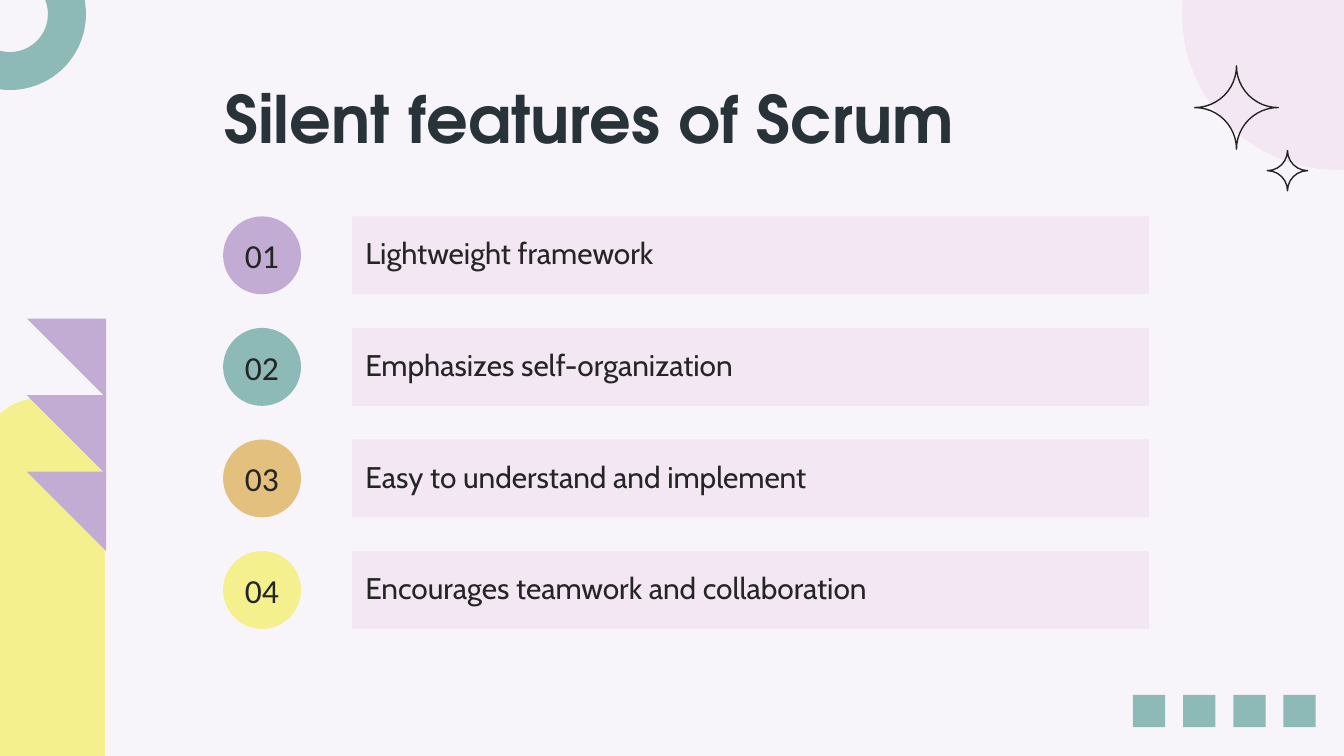
from pptx import Presentation
from pptx.dml.color import RGBColor
from pptx.enum.shapes import MSO_SHAPE
from pptx.enum.text import MSO_ANCHOR, PP_ALIGN
from pptx.util import Inches, Pt

OVAL, RECT = MSO_SHAPE.OVAL, MSO_SHAPE.RECTANGLE
DONUT, STAR = MSO_SHAPE.DONUT, MSO_SHAPE.PLAQUE
ARCH = MSO_SHAPE.ROUND_2_SAME_RECTANGLE
TOP, MIDDLE = MSO_ANCHOR.TOP, MSO_ANCHOR.MIDDLE
LEFT, CENTER = PP_ALIGN.LEFT, PP_ALIGN.CENTER

PAPER = RGBColor(0xF8, 0xF5, 0xFA)
PINK = RGBColor(0xF3, 0xE7, 0xF3)
TEAL = RGBColor(0x8D, 0xBA, 0xB7)
LILAC = RGBColor(0xC2, 0xAC, 0xD3)
GOLD = RGBColor(0xE3, 0xC0, 0x7E)
YELLOW = RGBColor(0xF4, 0xF0, 0x8D)
SLATE = RGBColor(0x27, 0x32, 0x39)
INK = RGBColor(0x25, 0x25, 0x25)

HEAD = {"name": "TeX Gyre Adventor", "size": Pt(35), "bold": True}
BADGE = {"name": "Calibri", "size": Pt(18)}
BODY = {"name": "Cabin", "size": Pt(16)}
BLOCK = {"line_spacing": 1.15, "space_after": Pt(16), "alignment": LEFT}

deck = Presentation()
deck.slide_width = Inches(10)
deck.slide_height = Inches(10 * 9 / 16)
slide = deck.slides.add_slide(deck.slide_layouts[6])
slide.background.fill.solid()
slide.background.fill.fore_color.rgb = PAPER


def draw(kind, box, fill=None, line=None, adjust=()):
    shape = slide.shapes.add_shape(kind, *[Inches(v) for v in box])
    shape.shadow.inherit = False
    for i, value in enumerate(adjust):
        shape.adjustments[i] = value
    if fill is None:
        shape.fill.background()
    else:
        shape.fill.solid()
        shape.fill.fore_color.rgb = fill
    if line is None:
        shape.line.fill.background()
    else:
        shape.line.color.rgb = line
        shape.line.width = Pt(0.75)
    return shape


def write(shape, text, font, color, para, anchor, inset):
    frame = shape.text_frame
    frame.word_wrap = True
    frame.vertical_anchor = anchor
    for side in ("left", "top", "right", "bottom"):
        setattr(frame, "margin_" + side, Inches(inset))
    line = frame.paragraphs[0]
    for key, value in para.items():
        setattr(line, key, value)
    run = line.add_run()
    run.text = text
    for key, value in font.items():
        setattr(run.font, key, value)
    run.font.color.rgb = color


draw(OVAL, (8.8, -1.05, 2.31, 2.31), PINK, PINK)
draw(DONUT, (-0.49, -0.46, 1.13, 1.13), TEAL, adjust=[0.25])
for i in range(4):
    draw(RECT, (9.55 - i * 1.12 / 3, 5.17, 0.24, 0.24), TEAL)

title = slide.shapes.add_textbox(Inches(1.57), Inches(0.48), Inches(8.43), Inches(0.63))
write(title, "Silent features of Scrum", HEAD, SLATE, {"alignment": LEFT}, TOP, 0.1)

points = [
    ("Lightweight framework", LILAC),
    ("Emphasizes self-organization", TEAL),
    ("Easy to understand and implement", GOLD),
    ("Encourages teamwork and collaboration", YELLOW),
]
for i, (text, color) in enumerate(points):
    top = 1.61 + i * 0.83
    badge = draw(OVAL, (1.66, top, 0.58, 0.58), color)
    write(badge, f"{i + 1:02}", BADGE, INK, {"alignment": CENTER}, MIDDLE, 0)
    bar = draw(RECT, (2.62, top, 5.93, 0.58), PINK)
    write(bar, text, BODY, INK, BLOCK, TOP, 0.1)

draw(ARCH, (-0.16, 2.96, 0.94, 2.67), YELLOW, adjust=[0.5, 0])
for top in (3.51, 2.94, 2.37):
    pen = slide.shapes.build_freeform(Inches(0.2), Inches(top))
    corners = [(0.79, top + 0.59), (0.79, top)]
    pen.add_line_segments([(Inches(x), Inches(y)) for x, y in corners], close=True)
    flag = pen.convert_to_shape()
    flag.shadow.inherit = False
    flag.fill.solid()
    flag.fill.fore_color.rgb = LILAC
    flag.line.fill.background()

for left, top, size in ((8.89, 0.49, 0.62), (9.43, 1.12, 0.3)):
    draw(STAR, (left, top, size, size), line=INK, adjust=[0.5])

deck.save("out.pptx")
